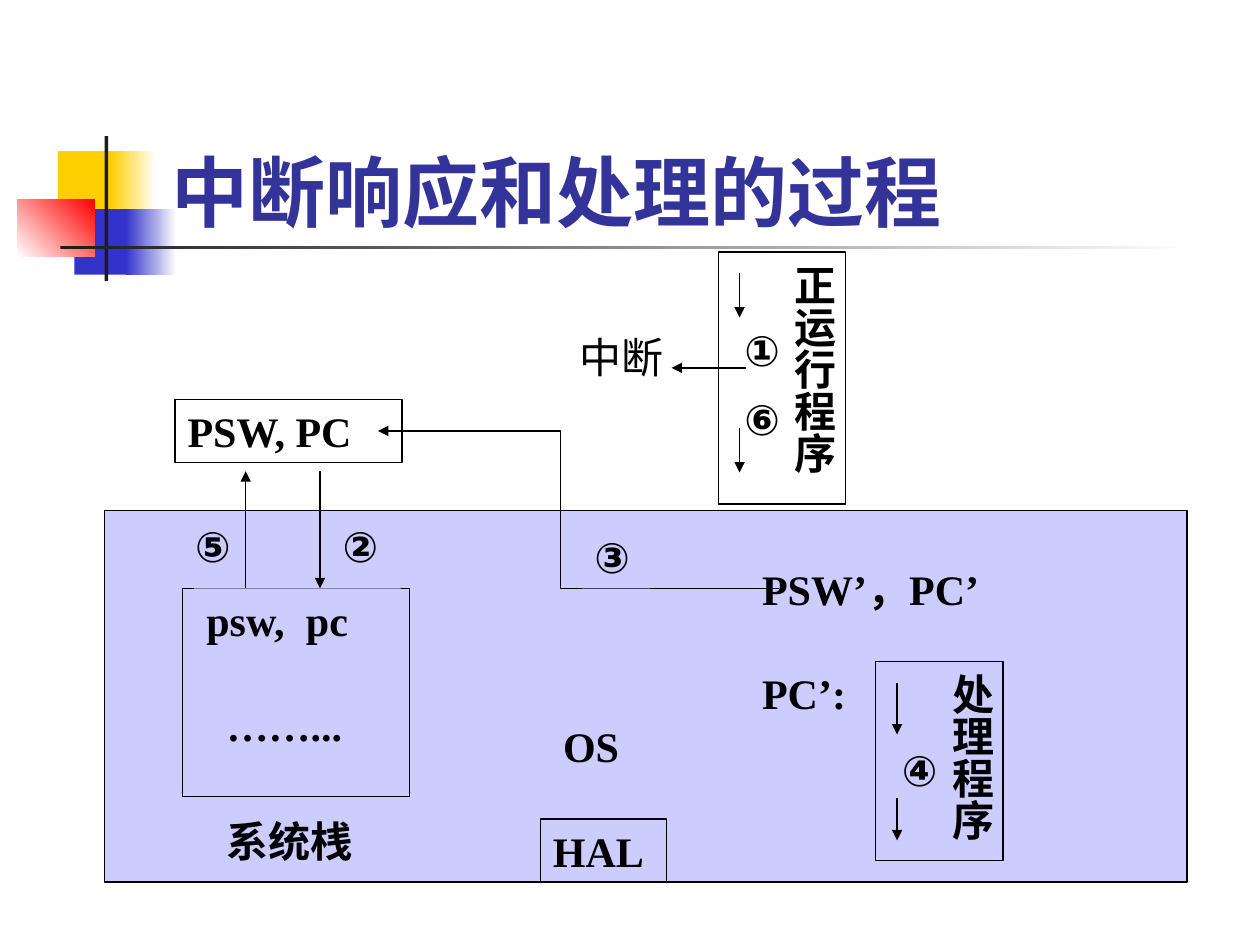
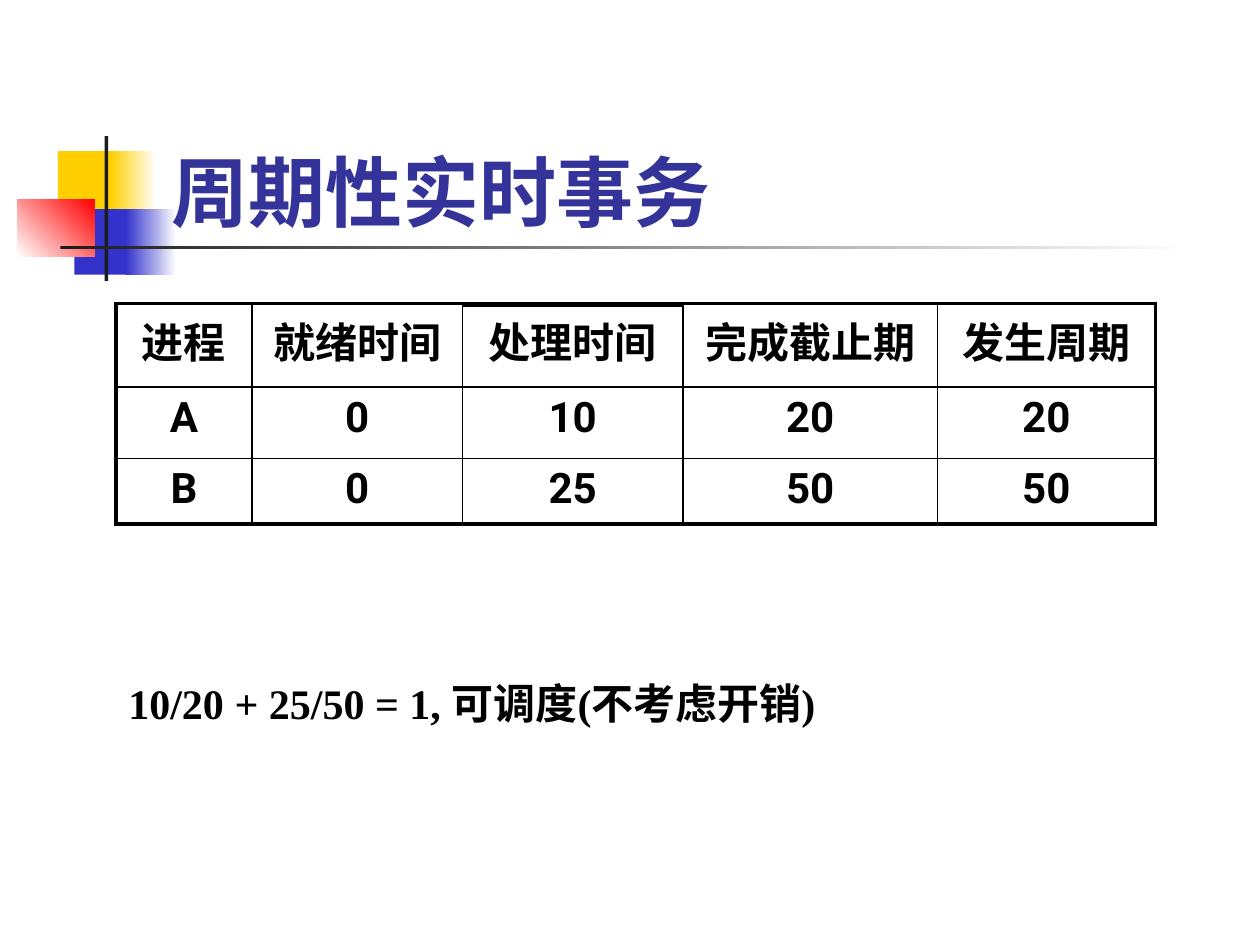
from lxml import etree
from pptx import Presentation, util as u
from pptx.dml.color import RGBColor
from pptx.enum import shapes, text
from pptx.oxml import ns

BLACK = RGBColor(0, 0, 0)
WHITE = RGBColor(0xFF, 0xFF, 0xFF)
CHARCOAL = RGBColor(0x1C, 0x1C, 0x1C)
YELLOW = RGBColor(0xFF, 0xCF, 0x01)
BLUE = RGBColor(0x33, 0x33, 0xCC)
RED = RGBColor(0xFF, 0, 0)
NAVY = RGBColor(0x33, 0x33, 0x99)
LAVENDER = RGBColor(0xCC, 0xCC, 0xFF)
SANS = "Roboto"
SERIF = "Times New Roman"
BODY_SIZE = 24
LABEL_HEIGHT = 0.5
THIN = 0.75


def inches(*lengths):
    return [u.Inches(length) for length in lengths]


def style(para, font=SERIF, size=BODY_SIZE, color=BLACK, bold=True):
    para.font.name = font
    para.font.size = u.Pt(size)
    para.font.color.rgb = color
    para.font.bold = bold


def add_tabs(para, stops):
    tab_list = etree.SubElement(para._p.get_or_add_pPr(), ns.qn("a:tabLst"))
    for stop in stops:
        etree.SubElement(tab_list, ns.qn("a:tab"), pos=str(u.Inches(stop)), algn="l")


def add_box(page, left, top, width, height, fill, outlined=False):
    box = page.shapes.add_shape(shapes.MSO_SHAPE.RECTANGLE, *inches(left, top, width, height))
    box.shadow.inherit = False
    box.fill.solid()
    box.fill.fore_color.rgb = fill
    if outlined:
        box.line.color.rgb = BLACK
        box.line.width = u.Pt(THIN)
    else:
        box.line.fill.background()
    return box


def add_fade(page, left, top, width, height, start, end, angle=0):
    box = add_box(page, left, top, width, height, start)
    box.fill.gradient()
    box.fill.gradient_angle = angle
    for stop, color in zip(box.fill.gradient_stops, (start, end)):
        stop.color.rgb = color


def write(box, words, font=SERIF, tabs=(), **look):
    frame = box.text_frame
    frame.word_wrap = True
    frame.vertical_anchor = text.MSO_ANCHOR.TOP
    para = frame.paragraphs[0]
    para.text = words
    para.alignment = text.PP_ALIGN.LEFT
    if tabs:
        add_tabs(para, tabs)
    style(para, font, **look)
    return frame


def add_label(page, left, top, width, words, font=SERIF, fill=LAVENDER, outlined=False, tabs=()):
    box = add_box(page, left, top, width, LABEL_HEIGHT, fill, outlined)
    write(box, words, font, tabs)


def add_text(page, left, top, width, height, words, font=SERIF, **look):
    box = page.shapes.add_textbox(*inches(left, top, width, height))
    return write(box, words, font, **look)


def add_arrowhead(shape):
    line = shape.element.spPr.find(ns.qn("a:ln"))
    etree.SubElement(line, ns.qn("a:tailEnd"), type="triangle")


def add_line(page, x1, y1, x2, y2, weight=THIN, arrow=True):
    line = page.shapes.add_connector(shapes.MSO_CONNECTOR.STRAIGHT, *inches(x1, y1, x2, y2))
    line.line.color.rgb = BLACK
    line.line.width = u.Pt(weight)
    if arrow:
        add_arrowhead(line)
    etree.SubElement(line.element.spPr, ns.qn("a:effectLst"))


def draw_frame(page, title):
    add_box(page, 0.46, 1.2, 0.48, 0.52, YELLOW)
    add_fade(page, 0.88, 1.2, 0.36, 0.52, YELLOW, WHITE)
    add_box(page, 0.59, 1.66, 0.46, 0.52, BLUE)
    add_fade(page, 1, 1.66, 0.4, 0.52, BLUE, WHITE)
    add_fade(page, 0.14, 1.58, 0.61, 0.46, WHITE, RED, 45)
    add_box(page, 0.83, 1.08, 0.03, 1.15, CHARCOAL)
    add_fade(page, 0.48, 1.95, 9, 0.03, CHARCOAL, WHITE)
    frame = add_text(page, 1.26, 0.68, 8.52, 1.25, title, SANS, size=44, color=NAVY)
    frame.vertical_anchor = text.MSO_ANCHOR.BOTTOM


def draw_program(page, left, top, height, name, steps, tabs, arrows, fill):
    box = add_box(page, left, top, 1.01, height, fill, outlined=True)
    frame = write(box, name)
    frame._txBody.bodyPr.set("vert", "eaVert")
    para = frame.add_paragraph()
    para.text = "".join("\t" + step for step in steps)
    para.alignment = text.PP_ALIGN.LEFT
    para.line_spacing = 0.5
    para.space_before = u.Pt(BODY_SIZE / 2)
    add_tabs(para, tabs)
    style(para, SANS)
    for start, end in arrows:
        add_line(page, left + 0.17, top + start, left + 0.17, top + end)


def draw_stack(page, left, top):
    add_box(page, left, top, 1.8, 1.65, LAVENDER, outlined=True)
    add_label(page, left + 0.25, top + 1.75, 1.36, "系统桟")
    add_label(page, left + 0.09, top, 1.64, "psw,\tpc", tabs=[0.79])
    add_label(page, left + 0.25, top + 0.83, 1.27, "……...")
    add_line(page, left + 1.09, top - 0.93, left + 1.09, top)
    add_label(page, left + 1.17, top - 0.59, 0.48, "②", SANS)
    add_line(page, left + 0.5, top, left + 0.5, top - 0.93)
    add_label(page, left, top - 0.59, 0.45, "⑤", SANS)


def draw_system(page, left, top):
    add_box(page, left, top, 8.59, 2.95, LAVENDER, outlined=True)
    draw_program(page, left + 6.12, top + 1.2, 1.58, "处理程序", "④", [0.58],
                 [(0.17, 0.58), (1.08, 1.42)], LAVENDER)
    add_label(page, left + 5.12, top + 0.37, 2.15, "PSW’，PC’")
    add_label(page, left + 5.12, top + 1.2, 0.91, "PC’:")
    add_label(page, left + 3.46, top + 2.45, 1, "HAL", outlined=True)
    add_label(page, left + 3.54, top + 1.62, 0.91, "OS")
    draw_stack(page, left + 0.62, top + 0.62)


def draw_register_load(page, left, top):
    add_label(page, left, top, 1.8, "PSW, PC", fill=WHITE, outlined=True)
    corners = [(4.79, 1.5), (3.06, 1.5), (3.06, 0.25), (1.61, 0.25)]
    points = [inches(left + x, top + y) for x, y in corners]
    builder = page.shapes.build_freeform(*points[0])
    builder.add_line_segments(points[1:], close=False)
    path_line = builder.convert_to_shape()
    path_line.shadow.inherit = False
    path_line.fill.background()
    path_line.line.color.rgb = BLACK
    path_line.line.width = u.Pt(THIN)
    add_arrowhead(path_line)
    add_label(page, left + 3.23, top + 1, 0.54, "③", SANS)


def draw_running_program(page, left, top):
    draw_program(page, left, top, 2, "正运行程序", "①⑥", [0.5, 1.05],
                 [(0.17, 0.52), (1.4, 1.75)], WHITE)
    add_line(page, left + 0.22, top + 0.92, left - 0.37, top + 0.92)
    add_text(page, left - 1.2, top + 0.58, 0.92, LABEL_HEIGHT, "中断", SANS, bold=False)


def draw_borders(cell, weights):
    properties = cell._tc.get_or_add_tcPr()
    for index, (side, weight) in enumerate(weights.items()):
        line = etree.Element(ns.qn("a:" + side), w=str(u.Pt(weight)))
        fill = etree.SubElement(line, ns.qn("a:solidFill"))
        etree.SubElement(fill, ns.qn("a:srgbClr"), val=str(BLACK))
        properties.insert(index, line)


def draw_task_table(page, left, top):
    rows = [("进程", "就绪时间", "处理时间", "完成截止期", "发生周期"),
            ("A", "0", "10", "20", "20"),
            ("B", "0", "25", "50", "50")]
    widths = [1.08, 1.67, 1.75, 2.02, 1.73]
    heights = [0.66, 0.57, 0.52]
    outer, inner = 2.25, 1
    table = page.shapes.add_table(len(rows), len(widths),
                                  *inches(left, top, sum(widths), sum(heights))).table
    table.first_row = table.horz_banding = False
    for column, width in zip(table.columns, widths):
        column.width = u.Inches(width)
    for r, (values, height) in enumerate(zip(rows, heights)):
        table.rows[r].height = u.Inches(height)
        for c, value in enumerate(values):
            cell = table.cell(r, c)
            cell.fill.background()
            para = cell.text_frame.paragraphs[0]
            para.text = value
            para.alignment = text.PP_ALIGN.CENTER
            style(para, SANS)
            edges = {"lnL": c == 0, "lnR": c == len(widths) - 1,
                     "lnT": r == 0, "lnB": r == len(rows) - 1}
            draw_borders(cell, {side: outer if edge else inner for side, edge in edges.items()})


def build_interrupt_slide(page):
    draw_frame(page, "中断响应和处理的过程")
    draw_system(page, 0.83, 4.05)
    draw_running_program(page, 5.7, 2)
    draw_register_load(page, 1.39, 3.17)


def build_periodic_slide(page):
    draw_frame(page, "周期性实时事务")
    draw_task_table(page, 0.92, 2.41)
    add_text(page, 0.92, 5.33, 6.25, LABEL_HEIGHT, "10/20 + 25/50 = 1, 可调度(不考虑开销)")
    add_line(page, 3.67, 2.42, 5.42, 2.42, weight=2.25, arrow=False)


def main():
    deck = Presentation()
    deck.slide_width, deck.slide_height = inches(10, 7.5)
    for build in (build_interrupt_slide, build_periodic_slide):
        build(deck.slides.add_slide(deck.slide_layouts[6]))
    deck.save("out.pptx")


if __name__ == "__main__":
    main()
